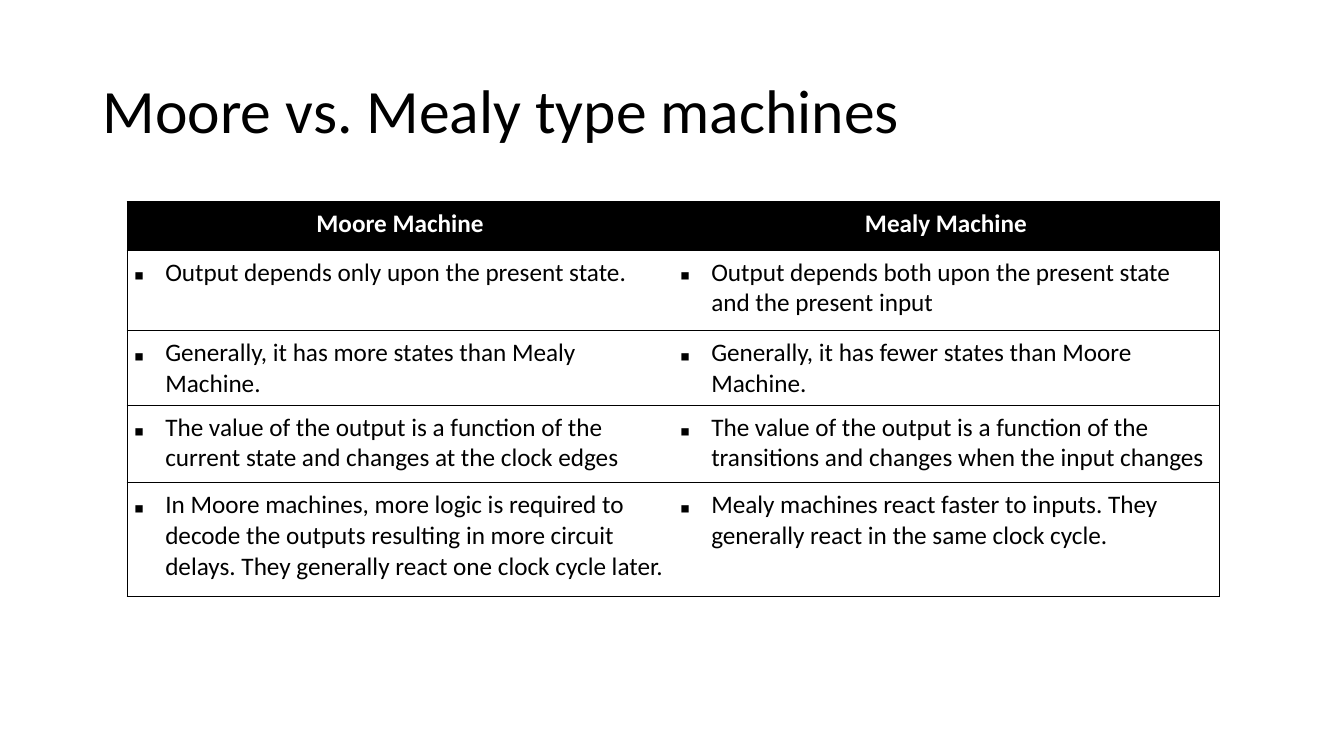
from dataclasses import dataclass

import pptx
import pptx.dml.color
import pptx.enum.text
import pptx.oxml
import pptx.oxml.ns
import pptx.util
from pptx.util import Inches, Pt

TITLE = "Moore vs. Mealy type machines"
HEADINGS = ("Moore Machine", "Mealy Machine")
COMPARISONS = [
    ("Output depends only upon the present state.",
     "Output depends both upon the present state and the present input"),
    ("Generally, it has more states than Mealy Machine.",
     "Generally, it has fewer states than Moore Machine."),
    ("The value of the output is a function of the current state and changes at the clock edges",
     "The value of the output is a function of the transitions and changes when the input changes"),
    ("In Moore machines, more logic is required to decode the outputs resulting in more circuit "
     "delays. They generally react one clock cycle later.",
     "Mealy machines react faster to inputs. They generally react in the same clock cycle."),
]


@dataclass(frozen=True)
class Theme:
    font: str = "Calibri"
    ink: str = "000000"
    paper: str = "FFFFFF"
    title_size: float = 44
    table_size: float = 18
    rule: float = 0.5


THEME = Theme()
SLIDE_WIDTH, SLIDE_HEIGHT = 13.33, 7.5
TITLE_BOX = (0.92, 0.4, 11.5, 1.45)
TABLE_LEFT, TABLE_TOP, TABLE_WIDTH = 1.26, 2, 10.83
ROW_HEIGHTS = (0.48, 0.8, 0.48, 0.77, 1.13)
CELL_INSET = 0.07
BULLET_INDENT = 0.31


def rgb(color):
    return pptx.dml.color.RGBColor.from_string(color)


def style(paragraph, size, color, bold=False):
    font = paragraph.font
    font.name, font.size, font.bold = THEME.font, Pt(size), bold
    font.color.rgb = rgb(color)


def add_bullet(paragraph):
    properties = paragraph._p.get_or_add_pPr()
    indent = Inches(BULLET_INDENT)
    properties.set("marL", str(indent))
    properties.set("indent", str(-indent))
    namespace = pptx.oxml.ns.nsdecls("a")
    properties.append(pptx.oxml.parse_xml(f'<a:buFont {namespace} typeface="Wingdings"/>'
                                          .replace("Wingdings", "Noto Sans Symbols")))
    properties.append(pptx.oxml.parse_xml(f'<a:buChar {namespace} char="▪"/>'))


def set_borders(cell, ruled_sides):
    """Rule the given sides (letters of L, R, T, B) and clear the others."""
    for side in "LRTB":
        paint = (f'<a:solidFill><a:srgbClr val="{THEME.ink}"/></a:solidFill>'
                 if side in ruled_sides else "<a:noFill/>")
        cell._tc.get_or_add_tcPr().append(pptx.oxml.parse_xml(
            f'<a:ln{side} {pptx.oxml.ns.nsdecls("a")} w="{Pt(THEME.rule)}">{paint}</a:ln{side}>'))


def add_title(slide):
    frame = slide.shapes.add_textbox(*map(Inches, TITLE_BOX)).text_frame
    frame.word_wrap = True
    frame.vertical_anchor = pptx.enum.text.MSO_ANCHOR.MIDDLE
    heading = frame.paragraphs[0]
    heading.text = TITLE
    heading.line_spacing = 0.9
    style(heading, THEME.title_size, THEME.ink)


def fill_cell(cell, text, is_header, outer_side):
    cell.margin_left = cell.margin_right = Inches(CELL_INSET)
    cell.margin_top = cell.margin_bottom = Inches(CELL_INSET)
    set_borders(cell, outer_side + "TB")
    cell.fill.solid()
    cell.fill.fore_color.rgb = rgb(THEME.ink if is_header else THEME.paper)
    paragraph = cell.text_frame.paragraphs[0]
    paragraph.text = text
    if is_header:
        paragraph.alignment = pptx.enum.text.PP_ALIGN.CENTER
    else:
        add_bullet(paragraph)
    style(paragraph, THEME.table_size, THEME.paper if is_header else THEME.ink, is_header)


def add_comparison(slide):
    rows = [HEADINGS, *COMPARISONS]
    table = slide.shapes.add_table(
        len(rows), len(HEADINGS), Inches(TABLE_LEFT), Inches(TABLE_TOP),
        Inches(TABLE_WIDTH), Inches(sum(ROW_HEIGHTS))).table
    table.horz_banding = False
    for row_index, (texts, height) in enumerate(zip(rows, ROW_HEIGHTS)):
        table.rows[row_index].height = Inches(height)
        for column, (text, outer_side) in enumerate(zip(texts, "LR")):
            fill_cell(table.cell(row_index, column), text, row_index == 0, outer_side)


def main():
    deck = pptx.Presentation()
    deck.slide_width, deck.slide_height = Inches(SLIDE_WIDTH), Inches(SLIDE_HEIGHT)
    slide = deck.slides.add_slide(deck.slide_layouts[6])
    add_title(slide)
    add_comparison(slide)
    deck.save("out.pptx")


if __name__ == "__main__":
    main()
